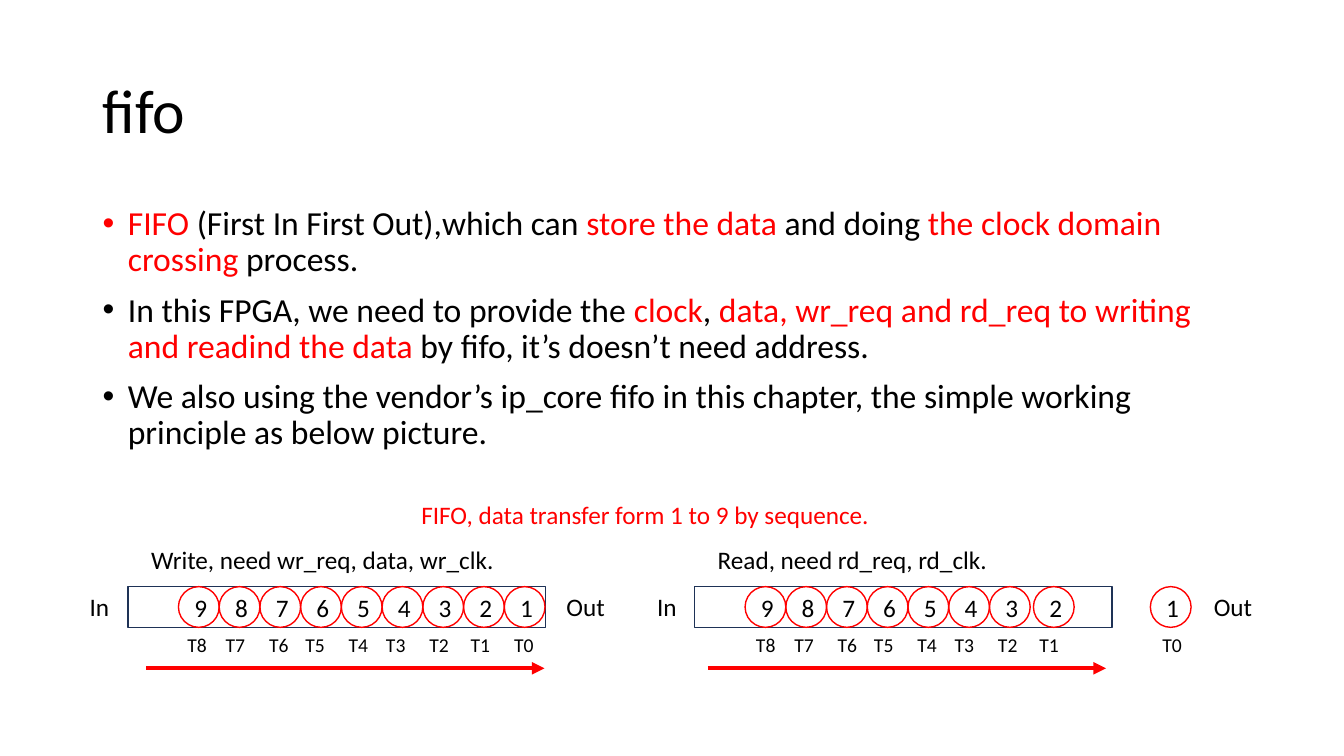
"""Build a slide that explains how a FIFO is written and read in sequence."""
from dataclasses import dataclass

from lxml.etree import SubElement
from pptx import Presentation
from pptx.dml.color import RGBColor
from pptx.enum.shapes import MSO_CONNECTOR as Connector, MSO_SHAPE as Shape
from pptx.enum.text import MSO_ANCHOR as Anchor, MSO_AUTO_SIZE as AutoSize, PP_ALIGN as Align
from pptx.oxml.ns import qn
from pptx.util import Inches, Pt


@dataclass(frozen=True)
class Theme:
    black: RGBColor = RGBColor(0, 0, 0)
    red: RGBColor = RGBColor(255, 0, 0)
    navy: RGBColor = RGBColor(0x1E, 0x32, 0x56)
    font: str = "Calibri"
    title: int = 44
    body: int = 24
    label: int = 18
    tick: int = 14


theme = Theme()
deck = Presentation()
deck.slide_width, deck.slide_height = Inches(13.33), Inches(7.5)
slide = deck.slides.add_slide(deck.slide_layouts[6])
ROWS = 75


def cells(*counts):
    return [round(count * deck.slide_height / ROWS) for count in counts]


def write(paragraph, text, size, color=theme.black):
    run = paragraph.add_run()
    run.text = text
    run.font.name, run.font.size = theme.font, Pt(size)
    run.font.color.rgb = color


heading = slide.shapes.add_textbox(*cells(9.2, 4, 115, 14.5)).text_frame
heading.word_wrap, heading.vertical_anchor = True, Anchor.MIDDLE
heading.paragraphs[0].line_spacing = 0.9
write(heading.paragraphs[0], "fifo", theme.title)

points = [
    [("FIFO ", theme.red), ("(First In First Out),which can ", theme.black),
     ("store the data", theme.red), (" and doing ", theme.black),
     ("the clock domain crossing", theme.red), (" process.", theme.black)],
    [("In this FPGA, we need to provide the ", theme.black), ("clock", theme.red),
     (", ", theme.black),
     ("data, wr_req and rd_req to writing and readind the data ", theme.red),
     ("by fifo, it’s doesn’t need address.", theme.black)],
    [("We also using the vendor’s ip_core fifo in this chapter, "
      "the simple working principle as below picture.", theme.black)],
]
body = slide.shapes.add_textbox(*cells(9.2, 20, 115, 47.6)).text_frame
body.word_wrap = True
for index, point in enumerate(points):
    paragraph = body.add_paragraph() if index else body.paragraphs[0]
    paragraph.line_spacing = 0.9
    paragraph.space_before = Pt(10 if index else 0)
    properties = paragraph._p.get_or_add_pPr()
    properties.set("marL", str(Inches(0.25)))
    properties.set("indent", str(-Inches(0.25)))
    SubElement(properties, qn("a:buFont"), typeface="Arial")
    SubElement(properties, qn("a:buChar"), char="•")
    for text, color in point:
        write(paragraph, text, theme.body, color)

CELL = 4.04
BUFFER_TOP, TICK_TOP, ARROW_ROW = 58.2, 62.3, 66.3
TICK_STEPS = (0, 3.8, 8.1, 11.7, 16, 19.7, 24, 28.1, 32.4)
panels = [
    dict(buffer=12.7, inlet=7.9, outlet=55.2, arrow=14.5, ticks=17.6,
         caption="Write, need wr_req, data, wr_clk.", moved={}, moved_ticks={}),
    dict(buffer=68.9, inlet=64.2, outlet=119.4, arrow=70.2, ticks=74,
         caption="Read, need rd_req, rd_clk.",
         moved={2: 102.5, 1: 114.1}, moved_ticks={0: 114.3}),
]
labels = [(slide.shapes, "FIFO, data transfer form 1 to 9 by sequence.",
           (40.8, 49, 47.9, 4), theme.label, theme.red)]

for panel in panels:
    shapes = slide.shapes.add_group_shape().shapes
    left = panel["buffer"]
    buffer = shapes.add_shape(Shape.RECTANGLE, *cells(left, BUFFER_TOP, 41.4, CELL))
    outlines = [(buffer, theme.navy)]
    labels += [
        (shapes, panel["caption"], (left + 1.3, 53.5, 47.9, 4), theme.label, theme.black),
        (shapes, "In", (panel["inlet"], BUFFER_TOP, 4.4, 4), theme.label, theme.black),
        (shapes, "Out", (panel["outlet"], BUFFER_TOP, 5.9, 4), theme.label, theme.black),
    ]
    for step, tick_step in enumerate(TICK_STEPS):
        number, time = 9 - step, 8 - step
        datum_left = panel["moved"].get(number, left + 5 + step * CELL)
        datum = shapes.add_shape(Shape.OVAL, *cells(datum_left, BUFFER_TOP, CELL, CELL))
        outlines.append((datum, theme.red))
        datum.text_frame.vertical_anchor = Anchor.MIDDLE
        digit = datum.text_frame.paragraphs[0]
        digit.alignment = Align.CENTER
        write(digit, str(number), theme.label)
        tick_left = panel["moved_ticks"].get(time, panel["ticks"] + tick_step)
        labels.append((shapes, f"T{time}", (tick_left, TICK_TOP, 4.4, 3.4),
                       theme.tick, theme.black))
    for outlined, color in outlines:
        outlined.shadow.inherit = False
        outlined.fill.background()
        outlined.line.color.rgb, outlined.line.width = color, Pt(1)
    flow = shapes.add_connector(
        Connector.STRAIGHT,
        *cells(panel["arrow"], ARROW_ROW, panel["arrow"] + 39.5, ARROW_ROW))
    flow.line.color.rgb, flow.line.width = theme.red, Pt(3)
    SubElement(flow.line._get_or_add_ln(), qn("a:tailEnd"), type="triangle")
    SubElement(flow._element.spPr, qn("a:effectLst"))

for shapes, text, place, size, color in labels:
    frame = shapes.add_textbox(*cells(*place)).text_frame
    frame.word_wrap, frame.auto_size = True, AutoSize.SHAPE_TO_FIT_TEXT
    write(frame.paragraphs[0], text, size, color)

deck.save("out.pptx")
